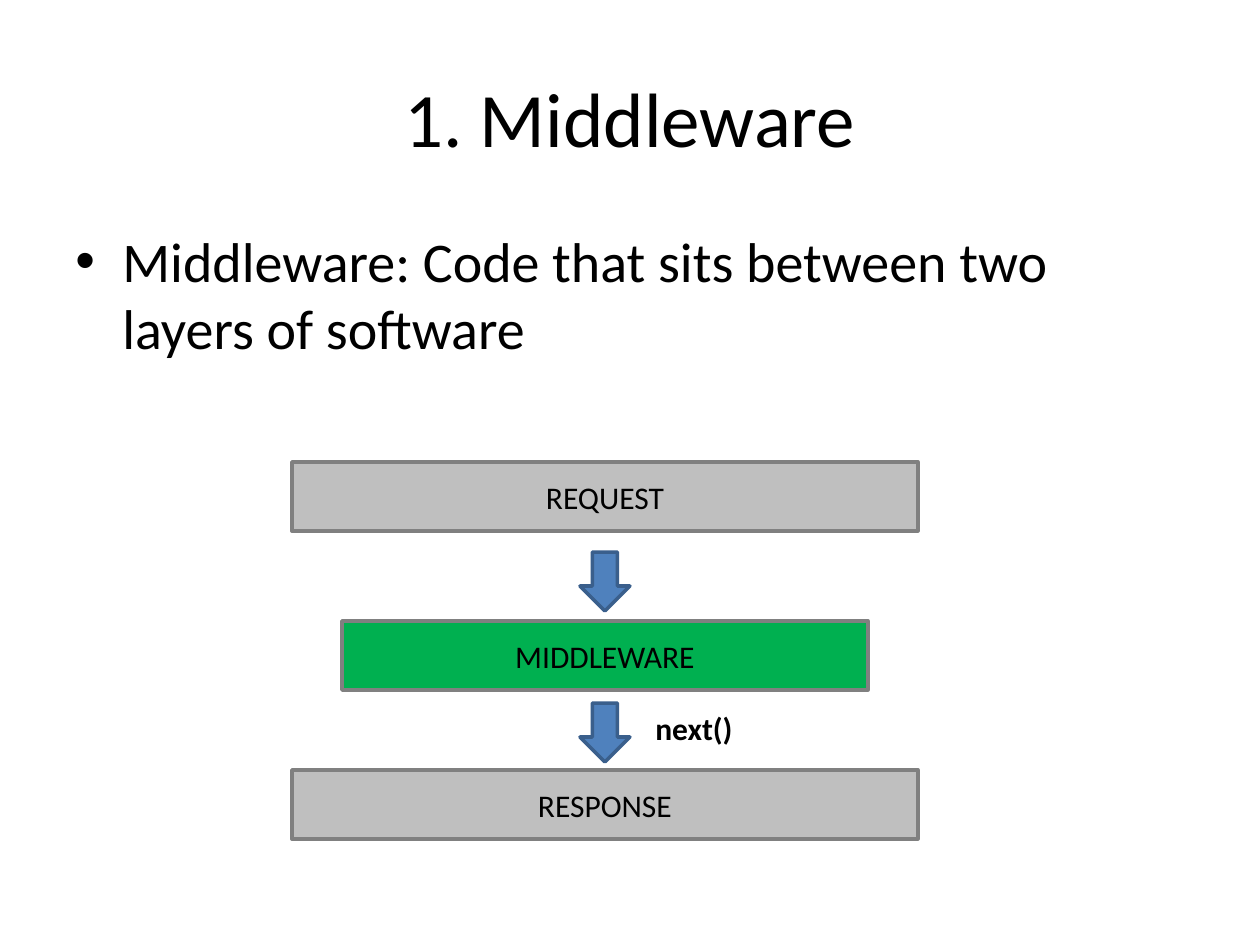
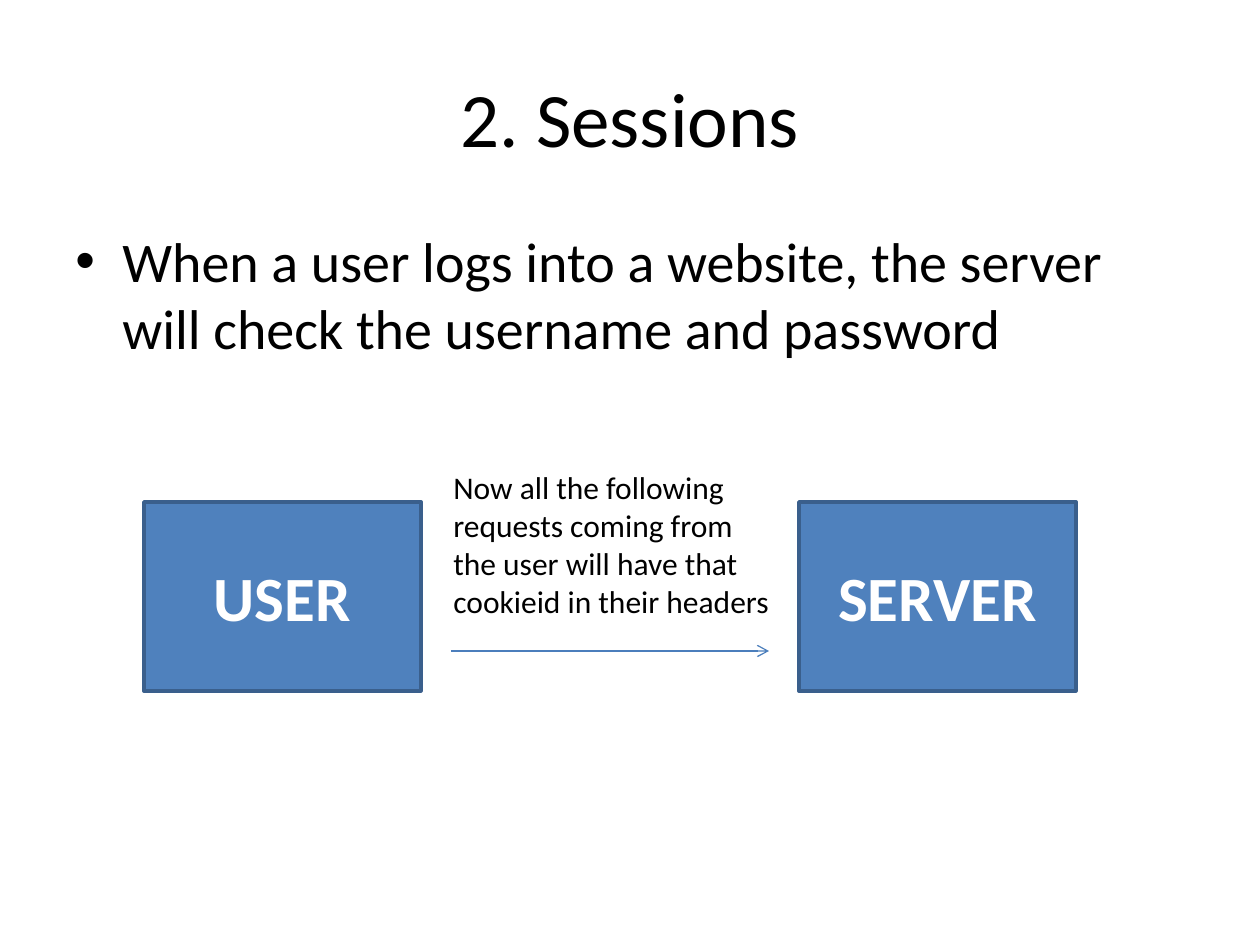
from lxml.etree import SubElement
from pptx import Presentation
from pptx.dml.color import RGBColor
from pptx.enum.shapes import MSO_CONNECTOR, MSO_SHAPE
from pptx.enum.text import MSO_ANCHOR, MSO_AUTO_SIZE, PP_ALIGN
from pptx.oxml.ns import qn
from pptx.util import Emu, Pt

PIXELS_PER_INCH = 126
FONT = "Calibri"
BLACK, WHITE = "000000", "FFFFFF"
GRAY, GRAY_EDGE, GREEN = "BFBFBF", "808080", "00B050"
BLUE, BLUE_EDGE, BLUE_LINE = "4F81BD", "3A5F8C", "4B7EBC"
TITLE_AREA = (63, 38, 1134, 157)
BODY_AREA = (63, 220, 1134, 624)
BULLET_INDENT = 47


def px(pixels):
    return Emu(round(pixels * 914400 / PIXELS_PER_INCH))


def color(hex_code):
    return RGBColor.from_string(hex_code)


def write(frame, lines, size, ink=BLACK, bold=False, align=PP_ALIGN.LEFT):
    frame.text = "\n".join(lines)
    for paragraph in frame.paragraphs:
        paragraph.alignment = align
        paragraph.font.name = FONT
        paragraph.font.size = Pt(size)
        paragraph.font.bold = bold
        paragraph.font.color.rgb = color(ink)


def add_titled_slide(deck, heading):
    slide = deck.slides.add_slide(deck.slide_layouts[5])
    title = slide.shapes.title
    title.left, title.top, title.width, title.height = map(px, TITLE_AREA)
    title.text_frame.vertical_anchor = MSO_ANCHOR.MIDDLE
    write(title.text_frame, [heading], 44, align=PP_ALIGN.CENTER)
    return slide


def add_text(slide, area, lines, size, bold=False, wrap=True):
    frame = slide.shapes.add_textbox(*map(px, area)).text_frame
    frame.word_wrap = wrap
    write(frame, lines, size, bold=bold)
    return frame


def add_bullet(slide, statement):
    paragraph = add_text(slide, BODY_AREA, [statement], 32).paragraphs[0]
    paragraph.space_before = Pt(6.4)
    properties = paragraph._p.get_or_add_pPr()
    properties.set("marL", str(px(BULLET_INDENT)))
    properties.set("indent", str(-px(BULLET_INDENT)))
    SubElement(properties, qn("a:buFont"), typeface="Arial")
    SubElement(properties, qn("a:buChar"), char="•")


def add_block(slide, kind, area, fill, edge):
    block = slide.shapes.add_shape(kind, *map(px, area))
    block.shadow.inherit = False
    block.fill.solid()
    block.fill.fore_color.rgb = color(fill)
    block.line.color.rgb = color(edge)
    block.line.width = Pt(2)
    return block


def add_box(slide, area, label, fill, edge, size, ink=BLACK, bold=False):
    frame = add_block(slide, MSO_SHAPE.RECTANGLE, area, fill, edge).text_frame
    frame.vertical_anchor = MSO_ANCHOR.MIDDLE
    write(frame, [label], size, ink, bold, PP_ALIGN.CENTER)


def add_arrow(slide, start, end):
    arrow = slide.shapes.add_connector(MSO_CONNECTOR.STRAIGHT, *map(px, start + end))
    arrow.line.color.rgb = color(BLUE_LINE)
    arrow.line.width = Pt(0.75)
    SubElement(arrow.line._get_or_add_ln(), qn("a:tailEnd"), type="arrow")
    SubElement(arrow._element.spPr, qn("a:effectLst"))


def build_middleware(deck):
    slide = add_titled_slide(deck, "1. Middleware")
    add_bullet(slide, "Middleware: Code that sits between two layers of software")
    center = 605
    layers = [
        ("REQUEST", 462, 626, GRAY),
        ("MIDDLEWARE", 621, 526, GREEN),
        ("RESPONSE", 770, 626, GRAY),
    ]
    for label, top, width, fill in layers:
        area = (center - width / 2, top, width, 69)
        add_box(slide, area, label, fill, GRAY_EDGE, 18)
    for top in (552, 703):
        add_block(slide, MSO_SHAPE.DOWN_ARROW, (center - 25, top, 50, 59), BLUE, BLUE_EDGE)
    call = add_text(slide, (643, 703, 111, 50), ["next()"], 18, bold=True, wrap=False)
    call.auto_size = MSO_AUTO_SIZE.SHAPE_TO_FIT_TEXT


def build_sessions(deck):
    slide = add_titled_slide(deck, "2. Sessions")
    add_bullet(
        slide,
        "When a user logs into a website, the server will check the username and password",
    )
    for label, left in (("USER", 144), ("SERVER", 799)):
        add_box(slide, (left, 502, 277, 189), label, BLUE, BLUE_EDGE, 36, WHITE, True)
    add_arrow(slide, (451, 651), (769, 651))
    request_note = [
        "Now all the following",
        "requests coming from",
        "the user will have that",
        "cookieid in their headers",
    ]
    note = add_text(slide, (441, 462, 357, 165), request_note, 18)
    note.auto_size = MSO_AUTO_SIZE.SHAPE_TO_FIT_TEXT


def main():
    deck = Presentation()
    deck.slide_width, deck.slide_height = px(1260), px(945)
    build_middleware(deck)
    build_sessions(deck)
    deck.save("out.pptx")


main()
